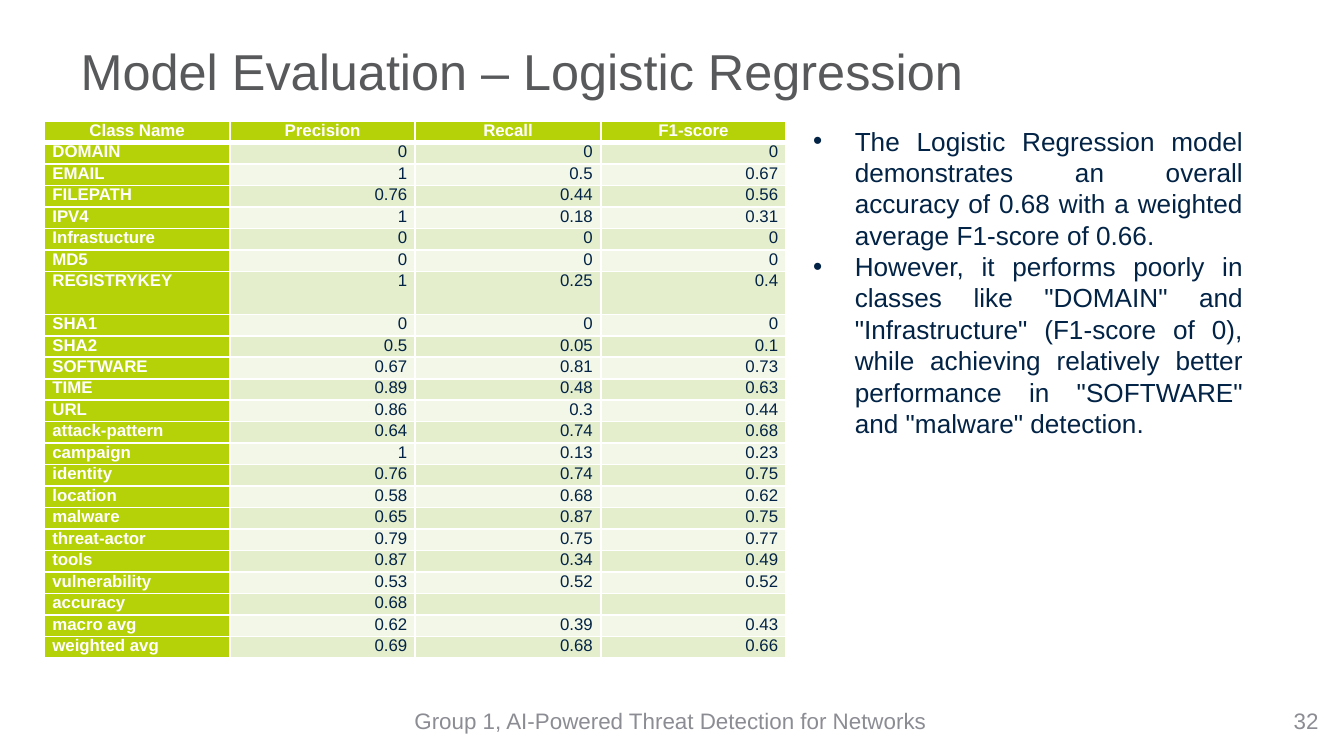
from typing import NamedTuple

from lxml import etree
from pptx import Presentation, util as u
from pptx.dml.color import RGBColor
from pptx.enum import text
from pptx.oxml.ns import qn

SLIDE_W = u.Inches(10)
SLIDE_H = SLIDE_W * 9 // 16
WHITE = RGBColor(0xFF, 0xFF, 0xFF)
LIME = RGBColor(0xB5, 0xD1, 0x07)
BAND_DARK = RGBColor(0xE5, 0xEE, 0xCC)
BAND_LIGHT = RGBColor(0xF3, 0xF7, 0xE7)
NAVY = RGBColor(0x02, 0x23, 0x45)
TITLE_GREY = RGBColor(0x58, 0x59, 0x5B)
FOOTER_GREY = RGBColor(0x8C, 0x8D, 0x94)
ALIGN = text.PP_ALIGN
ROW_H = u.Inches(0.16)
COLUMN_W = u.Inches(1.38)


class Area(NamedTuple):
    """Place and size in inches."""
    left: float
    top: float
    width: float
    height: float


class Style(NamedTuple):
    size: float
    color: RGBColor
    align: ALIGN
    bold: bool = False


class Score(NamedTuple):
    label: str
    precision: str
    recall: str
    f1: str


class Footer(NamedTuple):
    words: str
    area: Area
    align: ALIGN


HEADER = Score("Class Name", "Precision", "Recall", "F1-score")
SCORES = [
    Score("DOMAIN", "0", "0", "0"),
    Score("EMAIL", "1", "0.5", "0.67"),
    Score("FILEPATH", "0.76", "0.44", "0.56"),
    Score("IPV4", "1", "0.18", "0.31"),
    Score("Infrastucture", "0", "0", "0"),
    Score("MD5", "0", "0", "0"),
    Score("REGISTRYKEY", "1", "0.25", "0.4"),
    Score("SHA1", "0", "0", "0"),
    Score("SHA2", "0.5", "0.05", "0.1"),
    Score("SOFTWARE", "0.67", "0.81", "0.73"),
    Score("TIME", "0.89", "0.48", "0.63"),
    Score("URL", "0.86", "0.3", "0.44"),
    Score("attack-pattern", "0.64", "0.74", "0.68"),
    Score("campaign", "1", "0.13", "0.23"),
    Score("identity", "0.76", "0.74", "0.75"),
    Score("location", "0.58", "0.68", "0.62"),
    Score("malware", "0.65", "0.87", "0.75"),
    Score("threat-actor", "0.79", "0.75", "0.77"),
    Score("tools", "0.87", "0.34", "0.49"),
    Score("vulnerability", "0.53", "0.52", "0.52"),
    Score("accuracy", "0.68", "", ""),
    Score("macro avg", "0.62", "0.39", "0.43"),
    Score("weighted avg", "0.69", "0.68", "0.66"),
]
FINDINGS = [
    "The Logistic Regression model demonstrates an overall accuracy of 0.68 "
    "with a weighted average F1-score of 0.66.",
    'However, it performs poorly in classes like "DOMAIN" and "Infrastructure" '
    '(F1-score of 0), while achieving relatively better performance in '
    '"SOFTWARE" and "malware" detection.',
]
FOOTERS = [
    Footer("Group 1, AI-Powered Threat Detection for Networks",
           Area(1.82, 5.21, 6.34, 0.3), ALIGN.CENTER),
    Footer("32", Area(7.58, 5.21, 2.33, 0.3), ALIGN.RIGHT),
]


def set_all(target, values: dict) -> None:
    for name, value in values.items():
        setattr(target, name, value)


def place(shape, area: Area) -> None:
    set_all(shape, {name: u.Inches(size) for name, size in area._asdict().items()})


def write(paragraph, words: str, style: Style) -> None:
    paragraph.alignment = style.align
    if words:
        run = paragraph.add_run()
        run.text = words
        set_all(run.font, {"name": "Arial", "size": u.Pt(style.size), "bold": style.bold})
        run.font.color.rgb = style.color
    else:
        # An empty cell keeps its row low only if its end mark is small too.
        etree.SubElement(paragraph._p, qn("a:endParaRPr"), sz=str(int(style.size * 100)))


def add_borders(cell, bottom: float) -> None:
    """White lines of 1 pt around a cell, with its own width below."""
    properties = cell._tc.get_or_add_tcPr()
    widths = {"a:lnL": 1, "a:lnR": 1, "a:lnT": 1, "a:lnB": bottom}
    for position, (tag, width) in enumerate(widths.items()):
        line = etree.Element(qn(tag), w=str(u.Pt(width)))
        fill = etree.SubElement(line, qn("a:solidFill"))
        etree.SubElement(fill, qn("a:srgbClr"), val=str(WHITE))
        properties.insert(position, line)


def add_score_table(slide) -> None:
    rows = [HEADER, *SCORES]
    table = slide.shapes.add_table(
        len(rows), len(HEADER), u.Inches(0.33), u.Inches(0.9),
        COLUMN_W * len(HEADER), ROW_H * (len(rows) + 1)).table
    for column in table.columns:
        column.width = COLUMN_W
    for r, score in enumerate(rows):
        table.rows[r].height = ROW_H * (2 if score.label == "REGISTRYKEY" else 1)
        for c, words in enumerate(score):
            if r == 0:
                fill, style = LIME, Style(9, WHITE, ALIGN.CENTER, True)
            elif c == 0:
                fill, style = LIME, Style(9, WHITE, ALIGN.JUSTIFY, True)
            else:
                fill = BAND_DARK if r % 2 else BAND_LIGHT
                style = Style(9, NAVY, ALIGN.RIGHT)
            cell = table.cell(r, c)
            set_all(cell, {"margin_left": u.Inches(0.06), "margin_right": u.Inches(0.06),
                           "margin_top": 0, "margin_bottom": 0})
            cell.fill.solid()
            cell.fill.fore_color.rgb = fill
            add_borders(cell, bottom=1 if r else 3)
            write(cell.text_frame.paragraphs[0], words, style)


def add_findings(body) -> None:
    place(body, Area(5.95, 0.88, 3.4, 2.46))
    frame = body.text_frame
    set_all(frame, {"word_wrap": True, "auto_size": text.MSO_AUTO_SIZE.SHAPE_TO_FIT_TEXT})
    for index, finding in enumerate(FINDINGS):
        paragraph = frame.add_paragraph() if index else frame.paragraphs[0]
        set_all(paragraph, {"space_before": u.Pt(0), "space_after": u.Pt(0)})
        properties = paragraph._p.get_or_add_pPr()
        indent = u.Inches(0.31)
        properties.set("marL", str(indent))
        properties.set("indent", str(-indent))
        etree.SubElement(properties, qn("a:buFont"), typeface="Arial")
        etree.SubElement(properties, qn("a:buChar"), char="•")
        write(paragraph, finding, Style(14, NAVY, ALIGN.JUSTIFY))


def add_footer(slide, footer: Footer) -> None:
    box = slide.shapes.add_textbox(*(u.Inches(size) for size in footer.area))
    set_all(box.text_frame, {"word_wrap": True, "vertical_anchor": text.MSO_ANCHOR.MIDDLE})
    write(box.text_frame.paragraphs[0], footer.words, Style(12, FOOTER_GREY, footer.align))


def main() -> None:
    deck = Presentation()
    set_all(deck, {"slide_width": SLIDE_W, "slide_height": SLIDE_H})
    slide = deck.slides.add_slide(deck.slide_layouts[1])
    title, findings = slide.placeholders
    place(title, Area(0.5, 0.23, 9, 0.59))
    set_all(title.text_frame, {"vertical_anchor": text.MSO_ANCHOR.MIDDLE,
                               "auto_size": text.MSO_AUTO_SIZE.NONE})
    write(title.text_frame.paragraphs[0], "Model Evaluation – Logistic Regression",
          Style(27, TITLE_GREY, ALIGN.LEFT))
    for footer in FOOTERS:
        add_footer(slide, footer)
    add_score_table(slide)
    add_findings(findings)
    deck.save("out.pptx")


if __name__ == "__main__":
    main()
